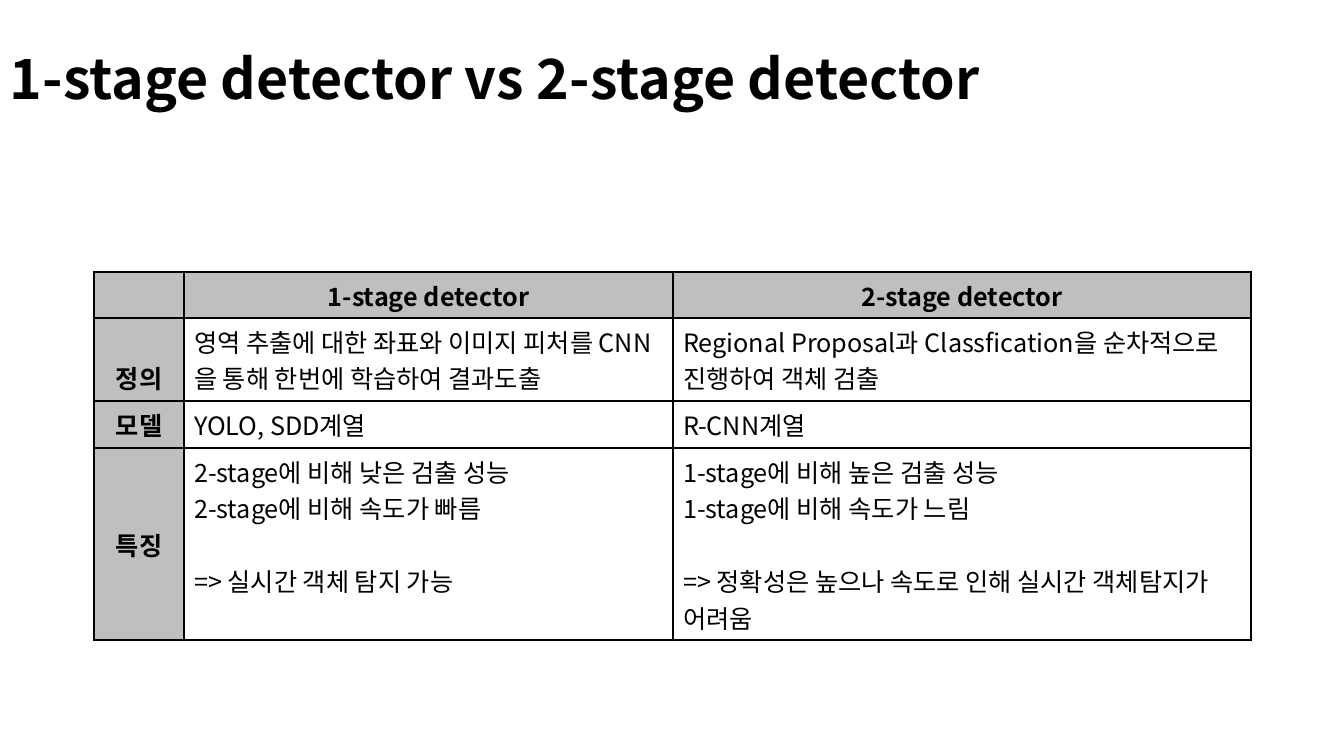
import dataclasses

import lxml.etree
import pptx
import pptx.dml.color
import pptx.enum.text
import pptx.oxml.ns
import pptx.util

PP_ALIGN = pptx.enum.text.PP_ALIGN


@dataclasses.dataclass(frozen=True)
class Theme:
    font: str = "Noto Sans CJK KR"
    text: str = "000000"
    border: str = "000000"
    header: str = "BFBFBF"
    body: str = "FFFFFF"
    title_size: float = 39.6
    table_size: float = 18
    border_width: float = 1
    line_gap: float = 26


THEME = Theme()

COLUMN_WIDTHS = [90, 489, 578]
ROW_HEIGHTS = [46, 83, 47, 192]
LABEL_SPACING = {"정의": 2, "특징": 3}

ROWS = [
    ["", "1-stage detector", "2-stage detector"],
    [
        "정의",
        "영역 추출에 대한 좌표와 이미지 피처를 CNN을 통해 한번에 학습하여 결과도출",
        "Regional Proposal과 Classfication을 순차적으로 진행하여 객체 검출",
    ],
    ["모델", "YOLO, SDD계열", "R-CNN계열"],
    [
        "특징",
        "2-stage에 비해 낮은 검출 성능\n2-stage에 비해 속도가 빠름\n=> 실시간 객체 탐지 가능",
        "1-stage에 비해 높은 검출 성능\n1-stage에 비해 속도가 느림\n"
        "=> 정확성은 높으나 속도로 인해 실시간 객체탐지가 어려움",
    ],
]


def px(n):
    return pptx.util.Emu(round(n * 914400 / 100.8))


def rgb(color):
    return pptx.dml.color.RGBColor.from_string(color)


def style_paragraph(p, size, bold):
    p.font.size = pptx.util.Pt(size)
    p.font.bold = bold
    p.font.name = THEME.font
    p.font.color.rgb = rgb(THEME.text)
    latin = p._p.pPr.find(".//" + pptx.oxml.ns.qn("a:latin"))
    ea = lxml.etree.Element(pptx.oxml.ns.qn("a:ea"), typeface=THEME.font)
    latin.addnext(ea)


def add_title(slide, text):
    sp = slide.shapes.add_textbox(px(0), px(55), px(1044), px(53))
    tf = sp.text_frame
    tf.word_wrap = True
    tf.vertical_anchor = pptx.enum.text.MSO_ANCHOR.MIDDLE
    p = tf.paragraphs[0]
    p.text = text
    p.line_spacing = 0.9
    style_paragraph(p, THEME.title_size, True)


def set_borders(cell):
    tcPr = cell._tc.get_or_add_tcPr()
    width = pptx.util.Pt(THEME.border_width)
    for i, side in enumerate(("lnL", "lnR", "lnT", "lnB")):
        ln = lxml.etree.Element(pptx.oxml.ns.qn("a:" + side), w=str(width))
        fill = lxml.etree.SubElement(ln, pptx.oxml.ns.qn("a:solidFill"))
        lxml.etree.SubElement(fill, pptx.oxml.ns.qn("a:srgbClr"), val=THEME.border)
        tcPr.insert(i, ln)


def fill_cell(cell, text, is_header):
    cell.fill.solid()
    cell.fill.fore_color.rgb = rgb(THEME.header if is_header else THEME.body)
    set_borders(cell)
    cell.text = text
    for p in cell.text_frame.paragraphs:
        p.alignment = PP_ALIGN.CENTER if is_header else PP_ALIGN.LEFT
        if text in LABEL_SPACING:
            p.line_spacing = LABEL_SPACING[text]
        if p.text.startswith("=>"):
            p.space_before = pptx.util.Pt(THEME.line_gap)
        style_paragraph(p, THEME.table_size, is_header)


def add_comparison(slide, rows):
    frame = slide.shapes.add_table(
        len(rows), len(rows[0]), px(94), px(272),
        px(sum(COLUMN_WIDTHS)), px(sum(ROW_HEIGHTS)),
    )
    table = frame.table
    table.horz_banding = False
    for column, width in zip(table.columns, COLUMN_WIDTHS):
        column.width = px(width)
    for row, height in zip(table.rows, ROW_HEIGHTS):
        row.height = px(height)
    for r, texts in enumerate(rows):
        for c, text in enumerate(texts):
            fill_cell(table.cell(r, c), text, r == 0 or c == 0)


def main():
    prs = pptx.Presentation()
    prs.slide_width = px(1344)
    prs.slide_height = px(756)
    slide = prs.slides.add_slide(prs.slide_layouts[6])
    add_title(slide, "1-stage detector vs 2-stage detector")
    add_comparison(slide, ROWS)
    prs.save("out.pptx")


if __name__ == "__main__":
    main()
